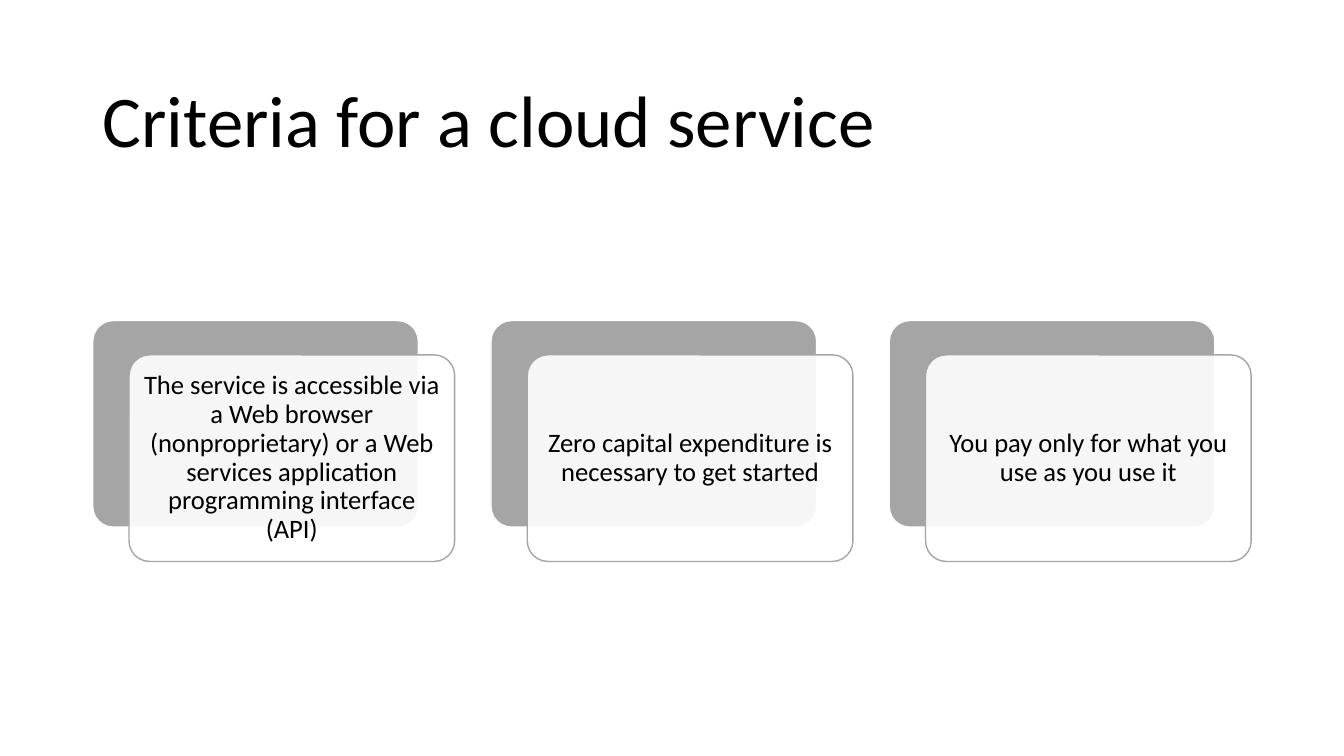
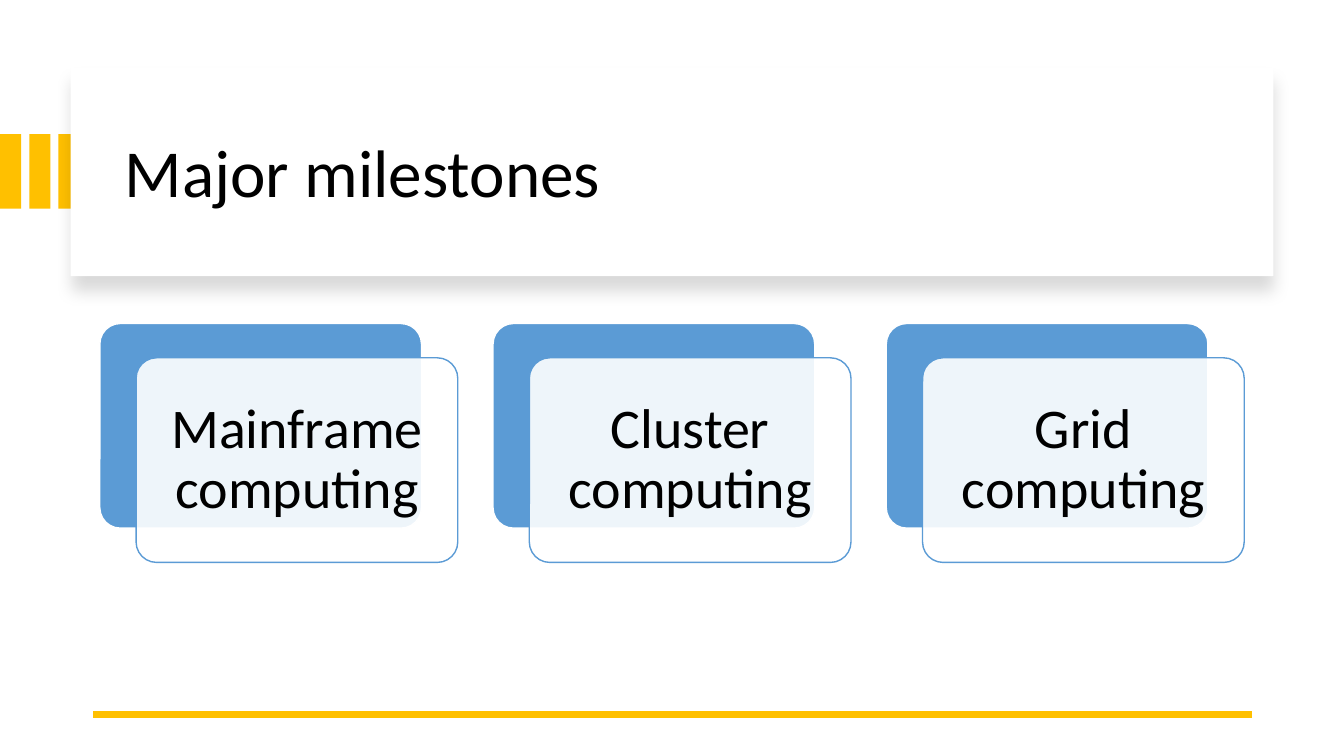
from dataclasses import dataclass

from lxml import etree
from pptx import Presentation
from pptx.dml.color import RGBColor
from pptx.enum.shapes import MSO_CONNECTOR, MSO_SHAPE
from pptx.enum.text import MSO_ANCHOR, PP_ALIGN
from pptx.oxml.ns import qn
from pptx.util import Pt

EMU_PER_PX = 9144
BLANK_LAYOUT = 6
RECTANGLE = MSO_SHAPE.RECTANGLE
ROUNDED = MSO_SHAPE.ROUNDED_RECTANGLE
STRAIGHT = MSO_CONNECTOR.STRAIGHT
MIDDLE = MSO_ANCHOR.MIDDLE
LEFT, CENTER = PP_ALIGN.LEFT, PP_ALIGN.CENTER


@dataclass(frozen=True)
class Theme:
    """Colours, type sizes and line widths shared by the slides."""
    font: str = "Calibri"
    text: str = "000000"
    paper: str = "FFFFFF"
    gray: str = "A5A5A5"
    blue: str = "5B9BD5"
    gold: str = "FFC000"
    title_size: int = 52
    panel_title_size: int = 48
    criterion_size: int = 19
    milestone_size: int = 40
    line_spacing: float = 0.9
    card_line: float = 1
    rule_line: float = 4.5
    card_opacity: int = 90
    shadow_opacity: int = 15


THEME = Theme()


@dataclass(frozen=True)
class CardRow:
    """Geometry and look of a row of layered cards."""
    left: int
    top: int
    width: int
    height: int
    pitch: int
    inset: int
    color: str
    size: int
    shift_x: int = 36
    shift_y: int = 34


CRITERIA_ROW = CardRow(92, 318, 323, 205, 395, 8, THEME.gray, THEME.criterion_size)
MILESTONE_ROW = CardRow(99, 321, 319, 203, 390, 17, THEME.blue, THEME.milestone_size)


def px(*lengths):
    """Turn pixel lengths into a list of EMU."""
    return [length * EMU_PER_PX for length in lengths]


def add_alpha(color_element, percent):
    """Give a colour element an opacity."""
    etree.SubElement(color_element, qn("a:alpha"), val=str(percent * 1000))


def add_box(slide, preset, box, fill, line=None):
    """Add a filled preset shape without a shadow."""
    shape = slide.shapes.add_shape(preset, *px(*box))
    shape.shadow.inherit = False
    shape.fill.solid()
    shape.fill.fore_color.rgb = RGBColor.from_string(fill)
    if line:
        shape.line.color.rgb = RGBColor.from_string(line)
        shape.line.width = Pt(THEME.card_line)
    else:
        shape.line.fill.background()
    return shape


def set_text(shape, text, size, align, inset_x, inset_y):
    """Write one vertically centred paragraph into a shape."""
    frame = shape.text_frame
    frame.word_wrap = True
    frame.vertical_anchor = MIDDLE
    frame.margin_left, frame.margin_right = px(inset_x, inset_x)
    frame.margin_top, frame.margin_bottom = px(inset_y, inset_y)
    paragraph = frame.paragraphs[0]
    paragraph.text = text
    paragraph.alignment = align
    paragraph.line_spacing = THEME.line_spacing
    paragraph.font.name = THEME.font
    paragraph.font.size = Pt(size)
    paragraph.font.color.rgb = RGBColor.from_string(THEME.text)


def add_title(slide, text, box, size):
    """Add the slide title."""
    set_text(slide.shapes.add_textbox(*px(*box)), text, size, LEFT, 10, 5)


def add_card(slide, row, left, text):
    """Add a coloured card with a translucent text card in front."""
    back = add_box(slide, ROUNDED, (left, row.top, row.width, row.height),
                   row.color, THEME.paper)
    front = add_box(slide, ROUNDED,
                    (left + row.shift_x, row.top + row.shift_y, row.width, row.height),
                    THEME.paper, row.color)
    for card in (back, front):
        card.adjustments[0] = 0.1
    fill_color = front.fill._xPr.find(qn("a:solidFill")).find(qn("a:srgbClr"))
    add_alpha(fill_color, THEME.card_opacity)
    set_text(front, text, row.size, CENTER, row.inset, row.inset)


def add_cards(slide, row, texts):
    """Lay cards out at an equal pitch."""
    for index, text in enumerate(texts):
        add_card(slide, row, row.left + index * row.pitch, text)


def add_panel(slide, box):
    """Add the title panel with a soft shadow below it."""
    panel = add_box(slide, RECTANGLE, box, THEME.paper)
    effects = panel._element.spPr.find(qn("a:effectLst"))
    shadow = etree.SubElement(effects, qn("a:outerShdw"), blurRad=str(Pt(11)),
                              dist=str(Pt(10)), dir="5400000", algn="t", rotWithShape="0")
    color = etree.SubElement(shadow, qn("a:srgbClr"), val=THEME.text)
    add_alpha(color, THEME.shadow_opacity)


def add_rule(slide, left, right, y):
    """Add the horizontal rule at the foot of a slide."""
    rule = slide.shapes.add_connector(STRAIGHT, *px(right, y, left, y))
    rule.line.color.rgb = RGBColor.from_string(THEME.gold)
    rule.line.width = Pt(THEME.rule_line)
    etree.SubElement(rule._element.spPr, qn("a:effectLst"))


def build_criteria(slide):
    """Build the slide on cloud service criteria."""
    add_title(slide, "Criteria for a cloud service", (92, 61, 1150, 124), THEME.title_size)
    add_cards(slide, CRITERIA_ROW, (
        "The service is accessible via a Web browser (nonproprietary) or a Web "
        "services application programming interface (API)",
        "Zero capital expenditure is necessary to get started",
        "You pay only for what you use as you use it",
    ))


def build_milestones(slide):
    """Build the slide on computing milestones."""
    bar_width, bar_pitch = 21, 29
    for index in range(3):
        add_box(slide, RECTANGLE, (index * bar_pitch, 133, bar_width, 74), THEME.gold)
    add_panel(slide, (70, 67, 1193, 207))
    add_title(slide, "Major milestones", (114, 89, 1113, 170), THEME.panel_title_size)
    add_rule(slide, 92, 1242, 709)
    add_cards(slide, MILESTONE_ROW,
              ("Mainframe computing", "Cluster computing", "Grid computing"))


def main():
    """Build and save the presentation."""
    presentation = Presentation()
    presentation.slide_width, presentation.slide_height = px(1333, 750)
    for build in (build_criteria, build_milestones):
        build(presentation.slides.add_slide(presentation.slide_layouts[BLANK_LAYOUT]))
    presentation.save("out.pptx")


if __name__ == "__main__":
    main()
